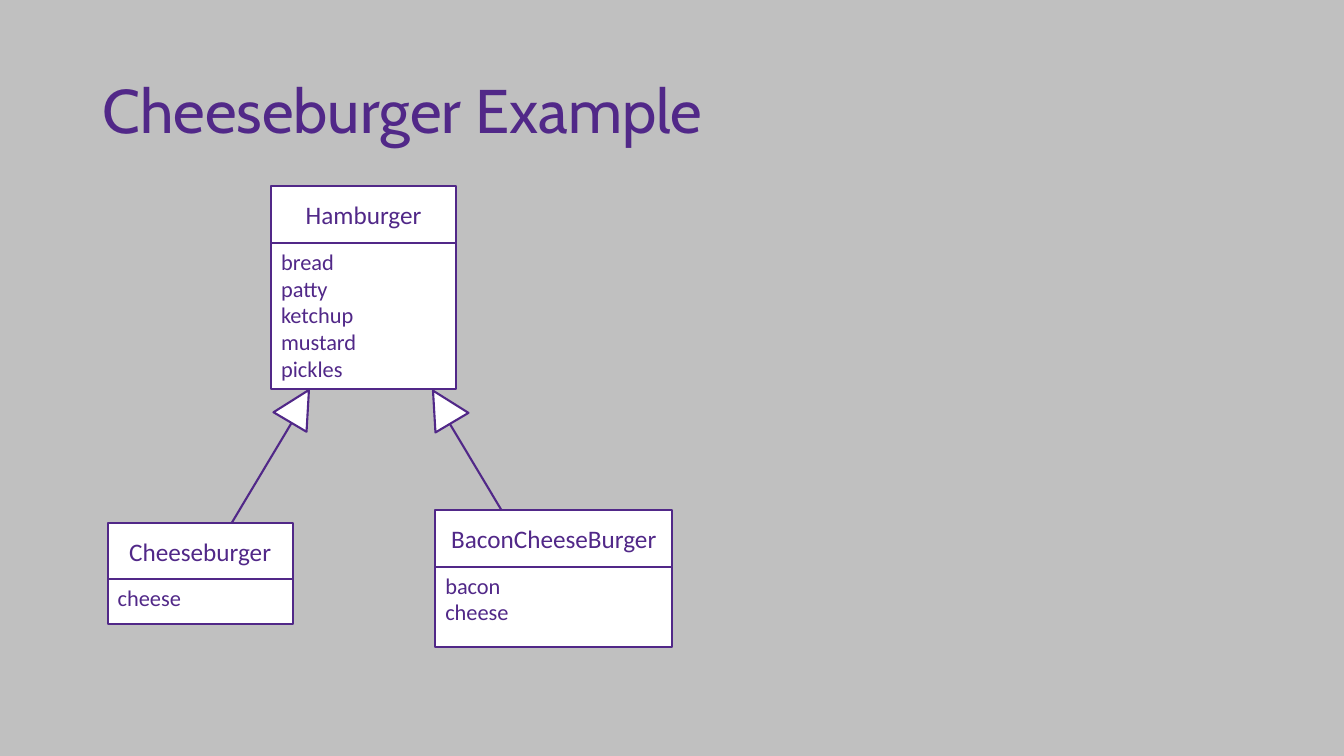
from lxml import etree
from pptx import Presentation
from pptx.dml.color import RGBColor
from pptx.enum.shapes import MSO_CONNECTOR as CONNECTOR, MSO_SHAPE as SHAPE
from pptx.enum.text import MSO_ANCHOR as ANCHOR, PP_ALIGN as ALIGN
from pptx.oxml.ns import qn
from pptx.util import Pt

PURPLE, WHITE, GREY = "512888", "FFFFFF", "C0C0C0"
HEADER_HEIGHT = 40.3


def paint(color_format, color):
    """Set a colour from a hex string."""
    color_format.rgb = RGBColor.from_string(color)


def outline(line):
    """Give a line the diagram's purple stroke."""
    paint(line.fill.fore_color if line.fill.type else line.color, PURPLE)
    line.width = Pt(1.5)


def add_outlined(slide, preset, left, top, width, height):
    """Add a white shape with a purple outline."""
    shape = slide.shapes.add_shape(preset, Pt(left), Pt(top), Pt(width), Pt(height))
    shape.shadow.inherit = False
    shape.fill.solid()
    paint(shape.fill.fore_color, WHITE)
    outline(shape.line)
    return shape


def write(shape, lines, size, font="Calibri", align=ALIGN.LEFT, anchor=ANCHOR.TOP, spacing=1.0):
    """Write one paragraph per line of text."""
    frame = shape.text_frame
    frame.word_wrap = True
    frame.vertical_anchor = anchor
    for index, text in enumerate(lines):
        paragraph = frame.add_paragraph() if index else frame.paragraphs[0]
        paragraph.alignment = align
        paragraph.line_spacing = spacing
        run = paragraph.add_run()
        run.text = text
        run.font.size = Pt(size)
        run.font.name = font
        paint(run.font.color, PURPLE)


def add_title(slide, text):
    """Add the slide title."""
    title = slide.shapes.add_textbox(Pt(66), Pt(28.75), Pt(828), Pt(104.4))
    write(title, [text], 44, "Cabin", anchor=ANCHOR.MIDDLE, spacing=0.9)


def add_class(slide, name, fields, left, top, width, fields_height):
    """Add a class box with its name above its fields."""
    header = add_outlined(slide, SHAPE.RECTANGLE, left, top, width, HEADER_HEIGHT)
    write(header, [name], 18, align=ALIGN.CENTER, anchor=ANCHOR.MIDDLE)
    body = add_outlined(slide, SHAPE.RECTANGLE, left, top + HEADER_HEIGHT, width, fields_height)
    write(body, fields, 16)


def add_inheritance(slide, start, end, head_left, head_top, angle):
    """Add an inheritance line with a hollow triangular head."""
    stem = slide.shapes.add_connector(CONNECTOR.STRAIGHT, *map(Pt, start + end))
    outline(stem.line)
    etree.SubElement(stem.element.spPr, qn("a:effectLst"))
    head = add_outlined(slide, SHAPE.ISOSCELES_TRIANGLE, head_left, head_top, 27.4, 26.6)
    head.rotation = angle


def main():
    """Build the cheeseburger class diagram."""
    deck = Presentation()
    deck.slide_width, deck.slide_height = Pt(960), Pt(540)
    slide = deck.slides.add_slide(deck.slide_layouts[6])
    slide.background.fill.solid()
    paint(slide.background.fill.fore_color, GREY)

    add_inheritance(slide, (382.3, 404.6), (321.1, 302.4), 302.4, 277.2, 329.4)
    add_inheritance(slide, (146.9, 404.6), (208.1, 302.4), 200.2, 276.7, 30.6)
    add_title(slide, "Cheeseburger Example")
    hamburger_fields = ["bread", "patty", "ketchup", "mustard", "pickles"]
    add_class(slide, "Hamburger", hamburger_fields, 193.7, 133.2, 132, 104.4)
    add_class(slide, "BaconCheeseBurger", ["bacon", "cheese"], 311, 364.5, 169.2, 57.4)
    add_class(slide, "Cheeseburger", ["cheese"], 77, 373.5, 132, 32)
    deck.save("out.pptx")


if __name__ == "__main__":
    main()
